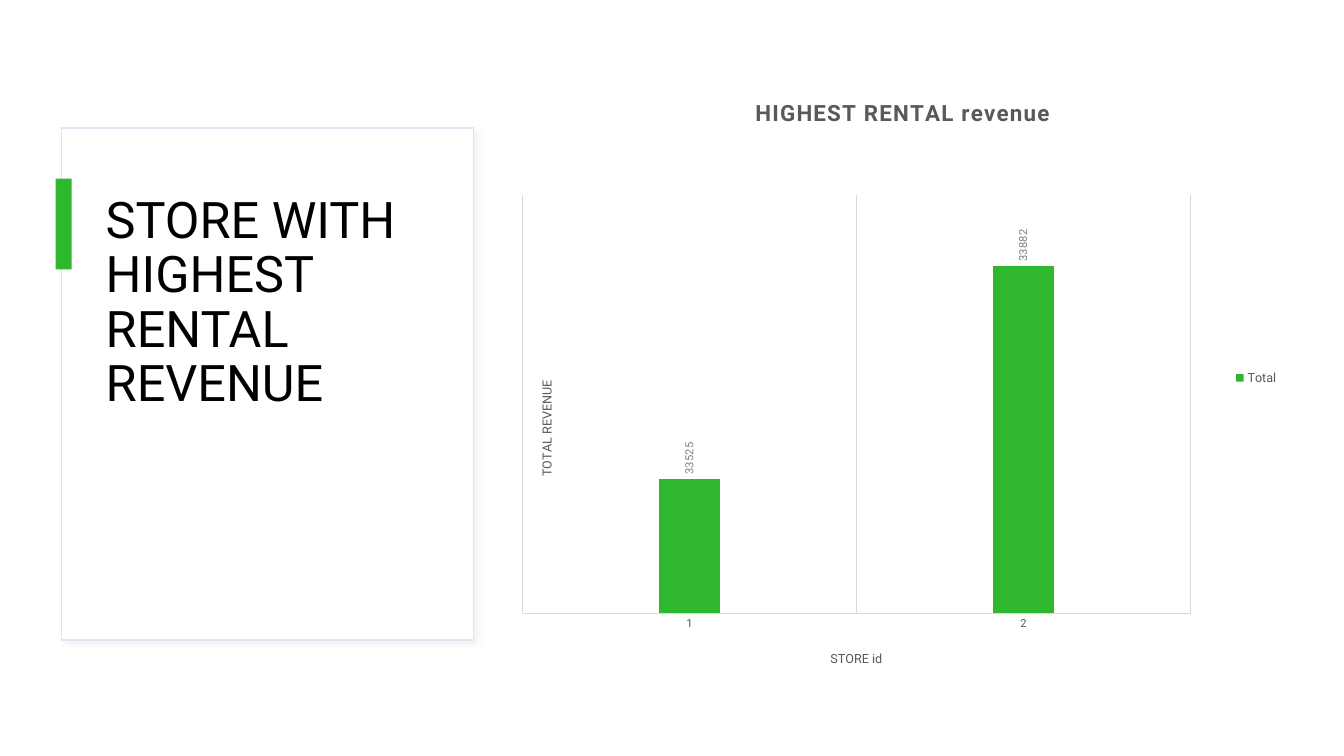
import dataclasses
import typing

import lxml.etree
import pptx
import pptx.chart.data
import pptx.dml.color
import pptx.enum.chart
import pptx.enum.shapes
import pptx.enum.text
import pptx.oxml
import pptx.oxml.ns
import pptx.util

Cm = pptx.util.Cm
Pt = pptx.util.Pt
RGBColor = pptx.dml.color.RGBColor
qn = pptx.oxml.ns.qn

FONT = "Roboto"
WHITE = RGBColor(0xFF, 0xFF, 0xFF)
BLACK = RGBColor(0, 0, 0)
GREEN = RGBColor(0x2F, 0xB8, 0x2D)
LAVENDER = RGBColor(0xE2, 0xE3, 0xF1)
DARK_GRAY = RGBColor(0x59, 0x59, 0x59)
MID_GRAY = RGBColor(0x80, 0x80, 0x80)
LIGHT_GRAY = RGBColor(0xD9, 0xD9, 0xD9)


@dataclasses.dataclass(frozen=True)
class Box:
    left: float
    top: float
    width: float
    height: float
    fill: RGBColor
    line: typing.Optional[RGBColor] = None


@dataclasses.dataclass(frozen=True)
class Caption:
    text: str
    size: float
    x: float
    y: float
    bold: bool = False
    spacing: int = 0
    rotation: int = 0


CARD = Box(1.55, 3.23, 10.39, 12.9, WHITE, LAVENDER)
ACCENT = Box(1.4, 4.5, 0.41, 2.29, GREEN)
CHART_CAPTION = Caption("HIGHEST RENTAL revenue", 16, 0.3, 0.04, bold=True, spacing=100)
STORE_CAPTION = Caption("STORE id", 9, 0.4, 0.94)
REVENUE_CAPTION = Caption("TOTAL REVENUE", 9, 0.02, 0.5, rotation=-90)
SHADOW = (
    f'<a:effectLst {pptx.oxml.ns.nsdecls("a")}>'
    '<a:outerShdw blurRad="50800" dist="38100" dir="2700000" algn="tl" rotWithShape="0">'
    f'<a:srgbClr val="{LIGHT_GRAY}"><a:alpha val="30000"/></a:srgbClr>'
    "</a:outerShdw></a:effectLst>"
)


def add_box(slide, box: Box):
    sp = slide.shapes.add_shape(
        pptx.enum.shapes.MSO_SHAPE.RECTANGLE,
        Cm(box.left), Cm(box.top), Cm(box.width), Cm(box.height),
    )
    sp.shadow.inherit = False
    sp.fill.solid()
    sp.fill.fore_color.rgb = box.fill
    if box.line is None:
        sp.line.fill.background()
    else:
        sp.line.color.rgb = box.line
        sp.line.width = Pt(1)
    return sp


def set_font(font, size: float, color: RGBColor, bold: bool = False) -> None:
    font.name = FONT
    font.size = Pt(size)
    font.bold = bold
    font.color.rgb = color


def set_layout(parent, index: int, **values: typing.Union[str, float]) -> None:
    for old in parent.findall(qn("c:layout")):
        parent.remove(old)
    layout = lxml.etree.Element(qn("c:layout"))
    manual = lxml.etree.SubElement(layout, qn("c:manualLayout"))
    for name, value in values.items():
        lxml.etree.SubElement(manual, qn(f"c:{name}")).set("val", str(value))
    parent.insert(index, layout)


def write_caption(title, caption: Caption) -> None:
    tf = title.text_frame
    tf.text = caption.text
    p = tf.paragraphs[0]
    set_font(p.font, caption.size, DARK_GRAY, caption.bold)
    p._p.pPr.find(qn("a:defRPr")).set("spc", str(caption.spacing))
    tf._txBody.bodyPr.set("rot", str(caption.rotation * 60000))
    set_layout(title._element, 1, xMode="edge", yMode="edge", x=caption.x, y=caption.y)


def add_title(slide, card) -> None:
    sp = slide.shapes.title
    sp.left, sp.top, sp.width, sp.height = Cm(2.41), Cm(4.78), Cm(8.61), Cm(9.78)
    tf = sp.text_frame
    tf.text = "STORE WITH HIGHEST RENTAL REVENUE"
    tf.word_wrap = True
    tf.auto_size = pptx.enum.text.MSO_AUTO_SIZE.NONE
    tf.vertical_anchor = pptx.enum.text.MSO_ANCHOR.TOP
    p = tf.paragraphs[0]
    p.alignment = pptx.enum.text.PP_ALIGN.LEFT
    p.line_spacing = 0.9
    set_font(p.font, 36, BLACK)
    card._element.addnext(sp._element)


def add_revenue_chart(slide) -> None:
    data = pptx.chart.data.CategoryChartData(number_format="0")
    data.categories = ["1", "2"]
    data.add_series("Total", [33525, 33882])
    chart = slide.shapes.add_chart(
        pptx.enum.chart.XL_CHART_TYPE.COLUMN_CLUSTERED,
        Cm(13.13), Cm(1.78), Cm(19.35), Cm(15.49), data,
    ).chart
    set_font(chart.font, 10, BLACK)
    write_caption(chart.chart_title, CHART_CAPTION)

    chart.has_legend = True
    chart.legend.position = pptx.enum.chart.XL_LEGEND_POSITION.RIGHT
    chart.legend.include_in_layout = False
    set_font(chart.legend.font, 9, DARK_GRAY)

    stores = chart.category_axis
    stores.major_tick_mark = pptx.enum.chart.XL_TICK_MARK.NONE
    stores.has_major_gridlines = True
    set_font(stores.tick_labels.font, 8, DARK_GRAY)
    for line in (stores.format.line, stores.major_gridlines.format.line):
        line.color.rgb = LIGHT_GRAY
        line.width = Pt(0.75)
    write_caption(stores.axis_title, STORE_CAPTION)

    revenue = chart.value_axis
    revenue.minimum_scale, revenue.maximum_scale = 33300, 34000
    revenue.has_major_gridlines = False
    revenue.visible = False
    write_caption(revenue.axis_title, REVENUE_CAPTION)

    plot = chart.plots[0]
    plot.gap_width = 444
    plot.overlap = -90
    plot.vary_by_categories = False
    total = plot.series[0]
    total.format.fill.solid()
    total.format.fill.fore_color.rgb = GREEN
    labels = total.data_labels
    labels.show_value = True
    labels.position = pptx.enum.chart.XL_LABEL_POSITION.OUTSIDE_END
    labels.number_format = "0"
    labels.number_format_is_linked = False
    set_font(labels.font, 8, MID_GRAY)
    body = labels._element.find(qn("c:txPr")).find(qn("a:bodyPr"))
    body.set("rot", "-5400000")
    body.set("vert", "horz")

    set_layout(
        chart._chartSpace.chart.plotArea, 0, layoutTarget="inner",
        xMode="edge", yMode="edge", x=0.002, y=0.203, w=0.87, h=0.68,
    )


def main() -> None:
    prs = pptx.Presentation()
    prs.slide_width, prs.slide_height = Cm(33.87), Cm(19.05)
    slide = prs.slides.add_slide(prs.slide_layouts.get_by_name("Title Only"))
    card = add_box(slide, CARD)
    card._element.spPr.replace(
        card._element.spPr.find(qn("a:effectLst")), pptx.oxml.parse_xml(SHADOW)
    )
    add_title(slide, card)
    add_box(slide, ACCENT)
    add_revenue_chart(slide)
    prs.save("out.pptx")


if __name__ == "__main__":
    main()
